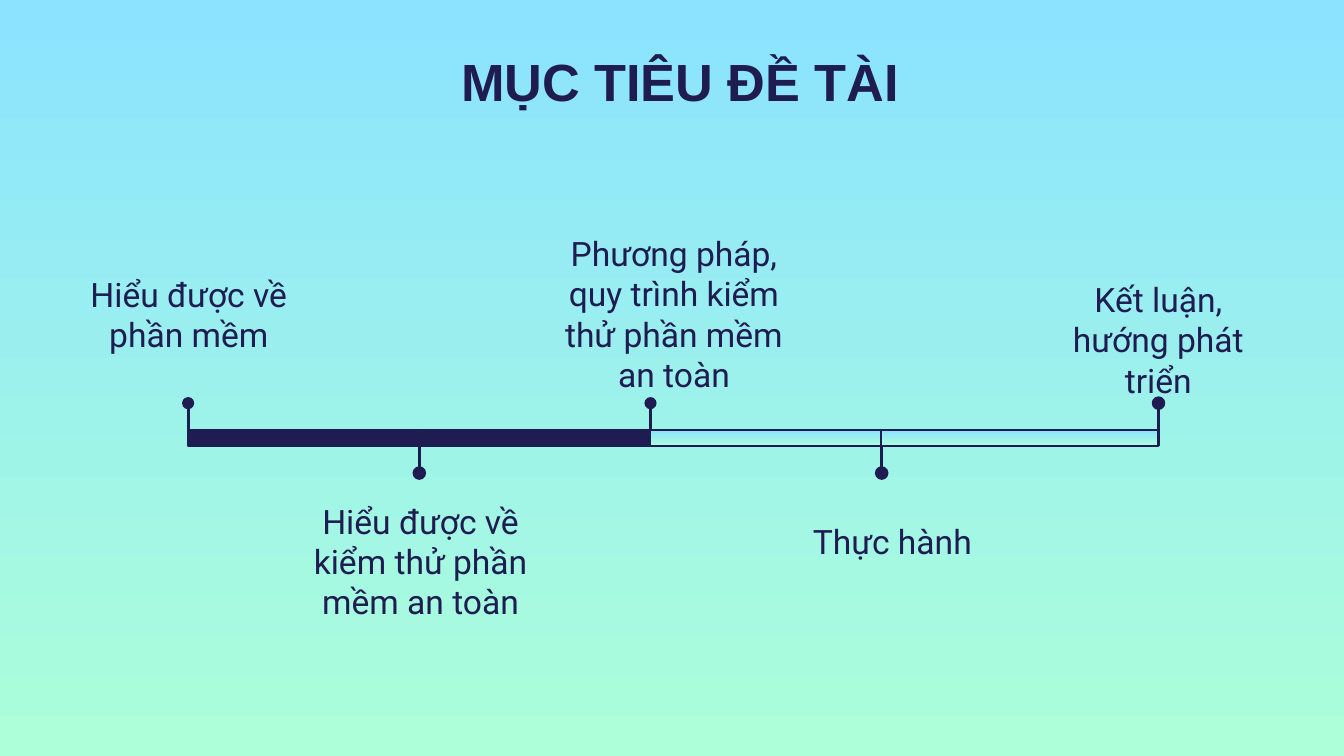
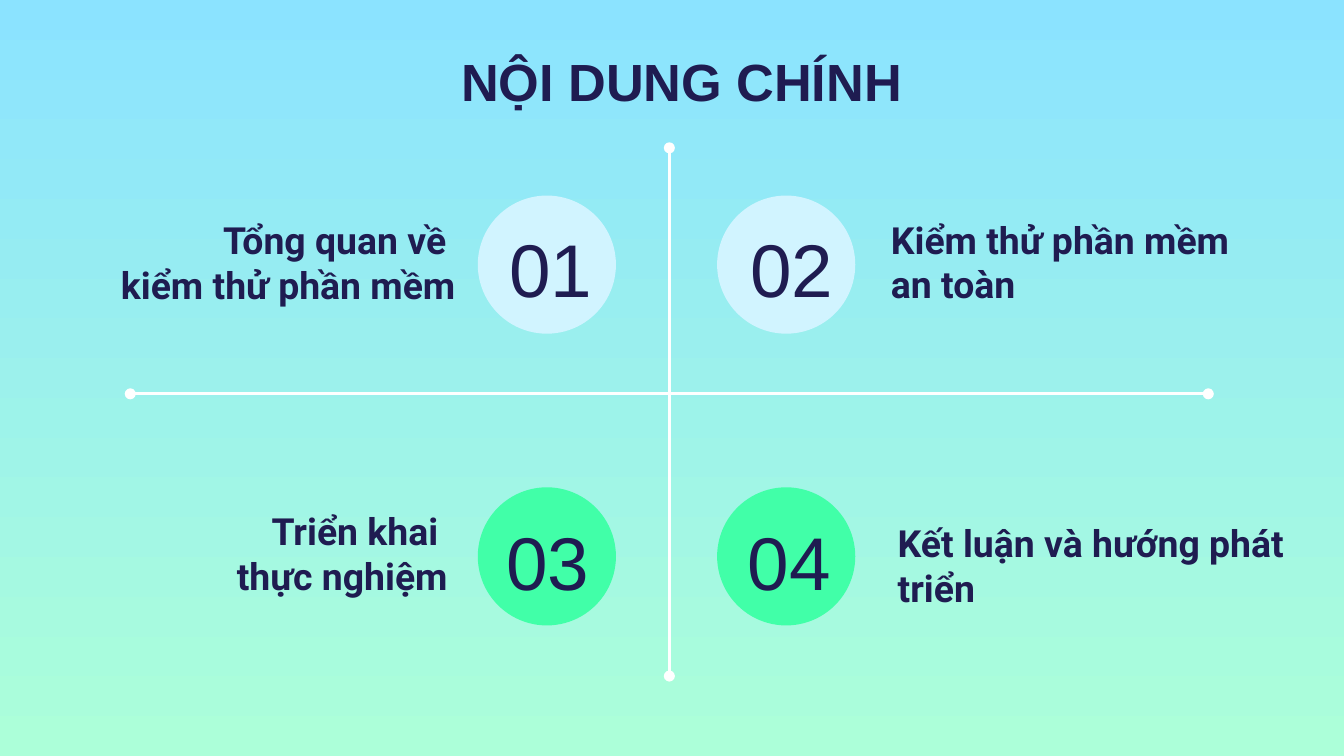
from lxml import etree
from pptx import Presentation
from pptx.dml.color import RGBColor
from pptx.enum.shapes import MSO_CONNECTOR as Connector, MSO_SHAPE as Shape
from pptx.enum.text import MSO_ANCHOR as Anchor, MSO_AUTO_SIZE as AutoSize, PP_ALIGN as Align
from pptx.oxml.ns import qn
from pptx.util import Pt

COLORS = {
    "ink": "1F1C51",
    "sky": "8BE3FF",
    "mint": "ACFFD9",
    "ice": "D1F4FF",
    "green": "41FFA8",
    "white": "FFFFFF",
}


def color(name):
    return RGBColor.from_string(COLORS[name])


def fill_gradient(fill):
    """Fade from sky at the top to mint at the bottom."""
    fill.gradient()
    fill.gradient_angle = 270
    for stop, name, position in zip(fill.gradient_stops, ("sky", "mint"), (0, 1)):
        stop.color.rgb = color(name)
        stop.position = position


def write(shape, text, size=18, font="Roboto", bold=False, align=Align.LEFT, anchor=Anchor.MIDDLE):
    frame = shape.text_frame
    frame.word_wrap = True
    frame.auto_size = AutoSize.NONE
    frame.vertical_anchor = anchor
    frame.margin_left = frame.margin_right = Pt(7.2)
    frame.margin_top = frame.margin_bottom = Pt(7.2)
    paragraph = frame.paragraphs[0]
    paragraph.text = text
    paragraph.alignment = align
    for run in paragraph.runs:
        run.font.size = Pt(size)
        run.font.name = font
        run.font.bold = bold
        run.font.color.rgb = color("ink")


class Deck:
    def __init__(self):
        self.presentation = Presentation()
        self.presentation.slide_width = Pt(720)
        self.presentation.slide_height = Pt(405)
        fill_gradient(self.presentation.slide_master.background.fill)
        self.slide = None

    def add_slide(self, title):
        layout = self.presentation.slide_layouts.get_by_name("Title Only")
        self.slide = self.presentation.slides.add_slide(layout)
        heading = self.slide.shapes.title
        heading.left, heading.top = Pt(239.8), Pt(19.4)
        heading.width, heading.height = Pt(270.7), Pt(42.5)
        write(heading, title, size=28, font="Arial", bold=True, anchor=Anchor.TOP)

    def text(self, text, left, top, width, height, **style):
        box = self.slide.shapes.add_textbox(Pt(left), Pt(top), Pt(width), Pt(height))
        write(box, text, **style)

    def shape(self, kind, left, top, width, height, fill, line, line_width=0.75):
        """Draw a preset shape; fill None means the background gradient."""
        shape = self.slide.shapes.add_shape(kind, Pt(left), Pt(top), Pt(width), Pt(height))
        shape.shadow.inherit = False
        if fill:
            shape.fill.solid()
            shape.fill.fore_color.rgb = color(fill)
        else:
            fill_gradient(shape.fill)
        shape.line.color.rgb = color(line)
        shape.line.width = Pt(line_width)

    def line(self, x1, y1, x2, y2, line, oval_ends=False):
        connector = self.slide.shapes.add_connector(
            Connector.STRAIGHT, Pt(x1), Pt(y1), Pt(x2), Pt(y2))
        connector.line.color.rgb = color(line)
        connector.line.width = Pt(1.5)
        properties = connector.element.spPr
        if oval_ends:
            outline = properties.find(qn("a:ln"))
            for end in ("a:headEnd", "a:tailEnd"):
                etree.SubElement(outline, qn(end), type="oval")
        etree.SubElement(properties, qn("a:effectLst"))


def add_goals(deck):
    deck.add_slide("MỤC TIÊU ĐỀ TÀI")
    bar_top, bar_height, dot = 230.4, 8.64, 5.76
    stops = [100.8, 224.64, 348.48, 472.32, 620.64]
    bar_fills = ["ink", "ink", None, None]
    dot_lines = [0.75, 1.5, 0.75, 1.5, 1.5]

    for index, x in enumerate(stops):
        if index % 2:
            stem_start, stem_end = 253.44, bar_top
        else:
            stem_start, stem_end = 216, bar_top + bar_height
        deck.line(x, stem_start, x, stem_end, "ink")
        deck.shape(Shape.OVAL, x - dot / 2, stem_start - dot / 2, dot, dot,
                   "ink", "ink", dot_lines[index])
        if index < len(bar_fills):
            deck.shape(Shape.RECTANGLE, x, bar_top, stops[index + 1] - x, bar_height,
                       bar_fills[index], "ink")

    goals = [
        ("Hiểu được về phần mềm", 32.4, 123.8, 137.5, 89.3),
        ("Hiểu được về kiểm thử phần mềm an toàn", 147.6, 265, 155.5, 71.3),
        ("Phương pháp, quy trình kiểm thử phần mềm an toàn", 285.1, 123.8, 151.9, 88.6),
        ("Thực hành", 409.7, 256.3, 136.8, 67),
        ("Kết luận, hướng phát triển", 552.2, 148.3, 136.8, 67),
    ]
    for goal in goals:
        deck.text(*goal, align=Align.CENTER)


def add_contents(deck):
    deck.add_slide("NỘI DUNG CHÍNH")
    deck.line(358.6, 79.2, 358.6, 362.2, "white", oval_ends=True)
    deck.line(69.8, 211, 647.3, 211, "white", oval_ends=True)

    columns = [(257, 265.7, Align.LEFT, Align.RIGHT), (385.2, 360, Align.RIGHT, Align.LEFT)]
    rows = [(105.8, 112.3, 0, "ice"), (262.1, 269.3, -1.44, "green")]
    topics = [
        ("Tổng quan về \nkiểm thử phần mềm", 17.3, 88.6, 234, 82.8),
        ("Kiểm thử phần mềm an toàn", 470.2, 112.3, 196.6, 59),
        ("Triển khai \nthực nghiệm", 50.4, 268.6, 196.6, 59),
        ("Kết luận và hướng phát triển", 473.8, 248.4, 229.7, 85.7),
    ]
    for index, topic in enumerate(topics):
        circle_top, number_top, shift, fill = rows[index // 2]
        circle_left, number_left, number_align, topic_align = columns[index % 2]
        deck.shape(Shape.OVAL, circle_left, circle_top, 72, 72, fill, fill, 2)
        deck.text(f"{index + 1:02}", number_left + shift, number_top, 93.6, 61.9,
                  size=40, font="Arial", align=number_align)
        deck.text(*topic, size=20, bold=True, align=topic_align, anchor=Anchor.BOTTOM)


def main():
    deck = Deck()
    add_goals(deck)
    add_contents(deck)
    deck.presentation.save("out.pptx")


if __name__ == "__main__":
    main()
